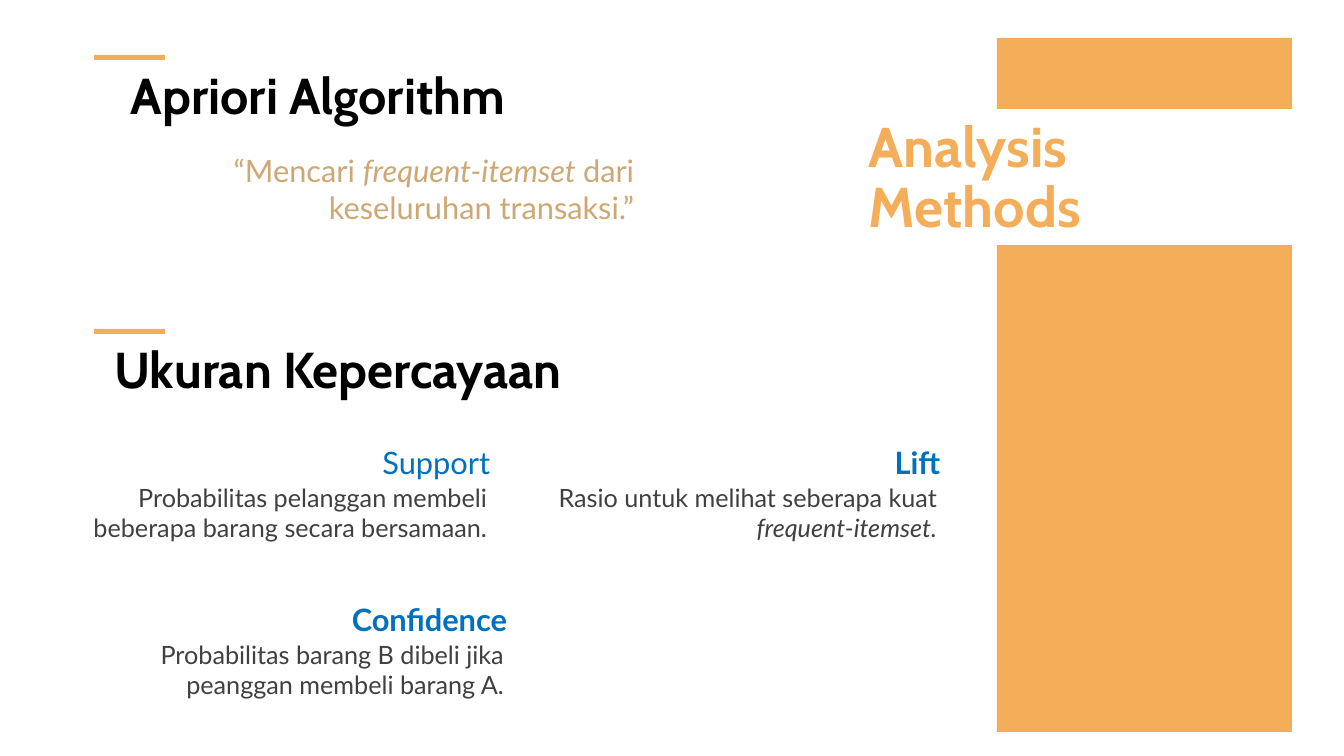
from pptx import Presentation
from pptx.dml.color import RGBColor
from pptx.enum.shapes import MSO_SHAPE
from pptx.enum.text import MSO_ANCHOR, MSO_AUTO_SIZE, PP_ALIGN
from pptx.util import Pt

RECT = MSO_SHAPE.RECTANGLE
MIDDLE, TOP = MSO_ANCHOR.MIDDLE, MSO_ANCHOR.TOP
GROW = MSO_AUTO_SIZE.SHAPE_TO_FIT_TEXT
CENTER, RIGHT, JUSTIFY = PP_ALIGN.CENTER, PP_ALIGN.RIGHT, PP_ALIGN.JUSTIFY

ORANGE = RGBColor(0xF4, 0xAE, 0x59)
WHITE = RGBColor(0xFF, 0xFF, 0xFF)
BLACK = RGBColor(0, 0, 0)
SAND = RGBColor(0xCD, 0xA8, 0x74)
GRAY = RGBColor(0x40, 0x40, 0x40)
BLUE = RGBColor(0x00, 0x70, 0xC0)

# Content: a run is (text, italic)
TITLE = "Analysis Methods"
HEADS = [  # text, top of the accent bar, text width
    ("Apriori Algorithm", 55, 502),
    ("Ukuran Kepercayaan", 329, 542),
]
QUOTE = [("“Mencari ", False), ("frequent-itemset ", True),
         ("dari keseluruhan transaksi.”", False)]
TERMS = [  # name, bold, left, top, runs
    ("Support", False, 67, 439,
     [("Probabilitas pelanggan membeli beberapa barang secara bersamaan.", False)]),
    ("Confidence", True, 84, 596,
     [("Probabilitas barang B dibeli jika peanggan membeli barang A.", False)]),
    ("Lift", True, 517, 439,
     [("Rasio untuk melihat seberapa kuat ", False), ("frequent-itemset.", True)]),
]

SCALE = 914400 / 100.8


def px(n):
    return round(n * SCALE)


def add_rect(shapes, box, color):
    rect = shapes.add_shape(RECT, *map(px, box))
    rect.shadow.inherit = False
    rect.fill.solid()
    rect.fill.fore_color.rgb = color
    rect.line.fill.background()
    return rect


def write(frame, runs, font, size, color, align, bold=False):
    frame.word_wrap = True
    para = frame.paragraphs[0]
    para.alignment = align
    for text, italic in runs:
        run = para.add_run()
        run.text = text
        run.font.name = font
        run.font.size = Pt(size)
        run.font.color.rgb = color
        run.font.bold = bold
        run.font.italic = italic
    return para


def add_text(shapes, box, runs, font, size, color, align,
             bold=False, anchor=TOP):
    frame = shapes.add_textbox(*map(px, box)).text_frame
    write(frame, runs, font, size, color, align, bold)
    frame.auto_size = GROW
    frame.vertical_anchor = anchor


deck = Presentation()
deck.slide_width, deck.slide_height = px(1344), px(756)
slide = deck.slides.add_slide(deck.slide_layouts[6])
shapes = slide.shapes

# Side panel and title
add_rect(shapes, (997, 38, 295, 694), ORANGE)
label = add_rect(shapes, (859, 109, 433, 136), WHITE).text_frame
label.vertical_anchor = MIDDLE
label.margin_left = label.margin_right = label.margin_top = px(10)
label.margin_bottom = px(5)
write(label, [(TITLE, False)], "Cabin", 40, ORANGE, JUSTIFY, True).line_spacing = 0.9

# Section heads with accent bars
for text, top, width in HEADS:
    group = shapes.add_group_shape().shapes
    add_text(group, (67, top + 3, width, 72), [(text, False)],
             "Cabin", 36, BLACK, CENTER, True, MIDDLE)
    add_rect(group, (94, top, 71, 5), ORANGE)

# Quote
add_text(shapes, (211, 147, 433, 85), QUOTE, "Lato", 22, SAND, RIGHT)

# Measures
for name, bold, left, top, runs in TERMS:
    group = shapes.add_group_shape().shapes
    add_text(group, (left + 3, top + 38, 427, 72), runs, "Lato", 18, GRAY, RIGHT)
    add_text(group, (left, top, 433, 47), [(name, False)],
             "Lato", 22, BLUE, RIGHT, bold)

deck.save("out.pptx")
